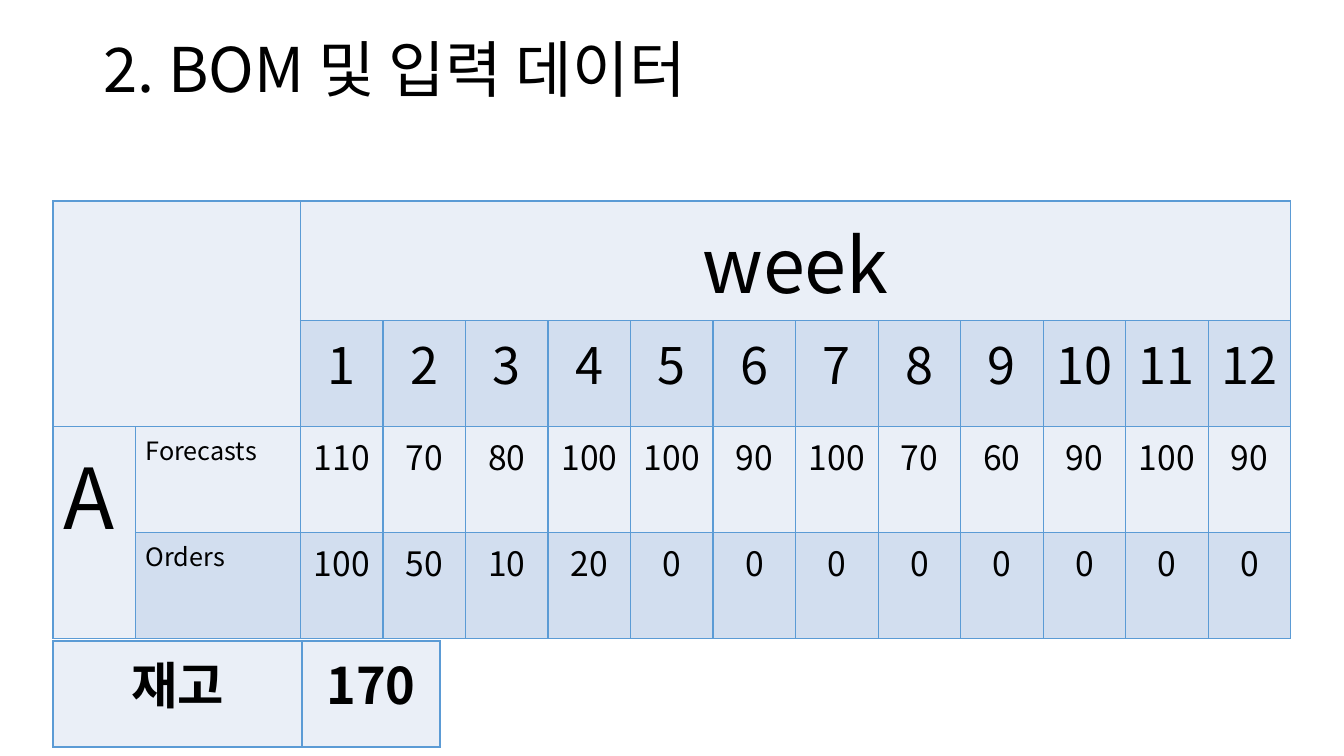
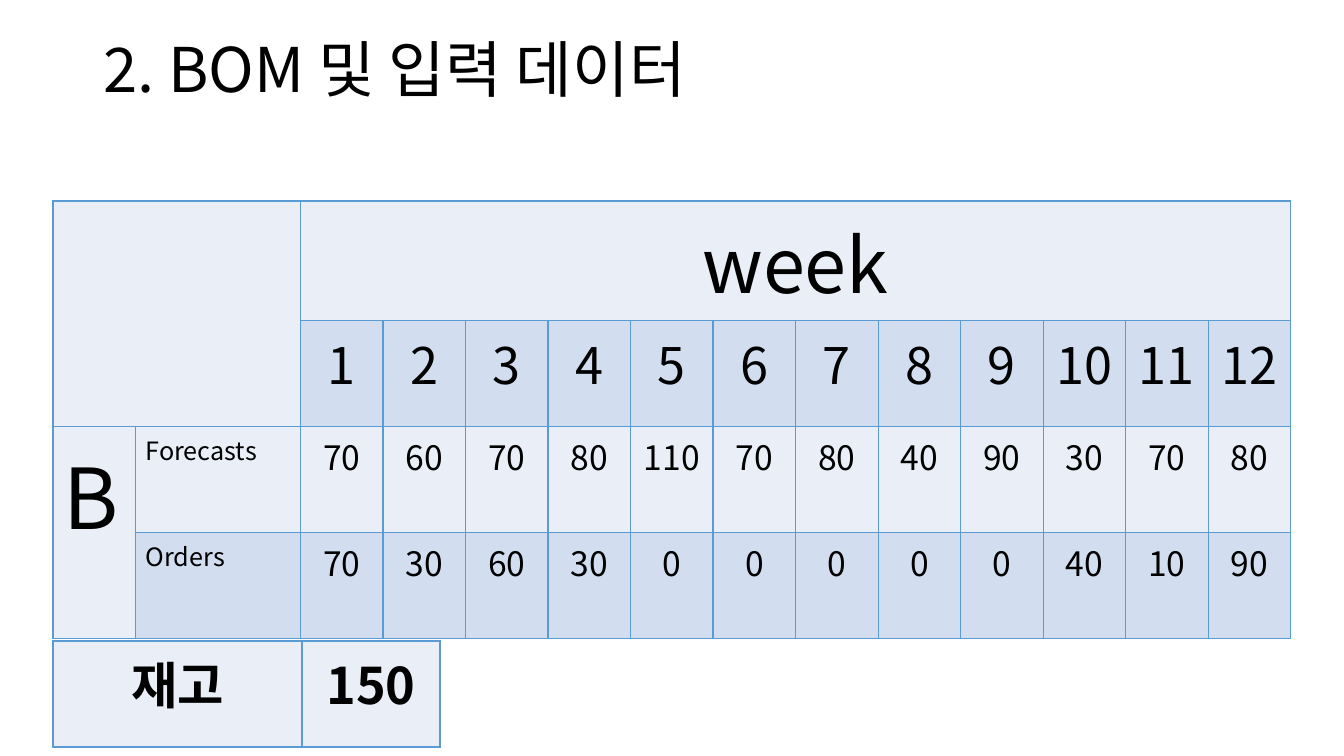
import pptx
import pptx.util
import pptx.dml.color
import pptx.enum.text
import pptx.oxml
import pptx.oxml.ns
import lxml.etree

PX = 12192000 / 1344
FONT = "Noto Sans CJK KR"
HUES = {"text": "000000", "pale": "EAEFF7", "band": "D2DEEF", "edge": "5B9BD5"}
ALIGN = pptx.enum.text.PP_ALIGN
WEEKS = 12
LEFT = 53
ROW = 106
UNIT = 1238 / 15

ITEMS = [
    {
        "name": "A",
        "stock": 170,
        "plan": [110, 70, 80, 100, 100, 90, 100, 70, 60, 90, 100, 90],
        "sales": [100, 50, 10, 20] + [0] * 8,
    },
    {
        "name": "B",
        "stock": 150,
        "plan": [70, 60, 70, 80, 110, 70, 80, 40, 90, 30, 70, 80],
        "sales": [70, 30, 60, 30, 0, 0, 0, 0, 0, 40, 10, 90],
    },
]


def emu(px):
    return pptx.util.Emu(round(px * PX))


def color(name):
    return pptx.dml.color.RGBColor.from_string(HUES[name])


def write(frame, text, size=24, bold=False, align=ALIGN.CENTER, line=None):
    para = frame.paragraphs[0]
    para.alignment = align
    if line:
        para.line_spacing = line
    run = para.add_run()
    run.text = str(text)
    font = run.font
    font.name = FONT
    font.size = pptx.util.Pt(size)
    font.bold = bold
    font.color.rgb = color("text")
    east = lxml.etree.SubElement(font._element, pptx.oxml.ns.qn("a:ea"))
    east.set("typeface", FONT)


def edge(cell):
    props = cell._tc.get_or_add_tcPr()
    space = pptx.oxml.ns.nsdecls("a")
    for side in "LRTB":
        props.append(pptx.oxml.parse_xml(
            f'<a:ln{side} {space} w="12700"><a:solidFill>'
            f'<a:srgbClr val="{HUES["edge"]}"/></a:solidFill></a:ln{side}>'))


def grid(slide, top, wides, count):
    frame = slide.shapes.add_table(
        count, len(wides), emu(LEFT), emu(top), emu(sum(wides)), emu(ROW * count))
    table = frame.table
    table.first_row = False
    table.horz_banding = False
    for col, wide in zip(table.columns, wides):
        col.width = emu(wide)
    for index, row in enumerate(table.rows):
        row.height = emu(ROW)
        for cell in row.cells:
            edge(cell)
            cell.fill.solid()
            cell.fill.fore_color.rgb = color("band" if index % 2 else "pale")
    return table


def head(slide, text):
    title = slide.shapes.title
    title.left, title.top = emu(93), emu(0)
    title.width, title.height = emu(1159), emu(146)
    frame = title.text_frame
    frame.word_wrap = True
    frame.auto_size = pptx.enum.text.MSO_AUTO_SIZE.NONE
    frame.vertical_anchor = pptx.enum.text.MSO_ANCHOR.MIDDLE
    write(frame, text, size=44, align=ALIGN.LEFT, line=0.9)


def demand(slide, item):
    table = grid(slide, 201, [UNIT, 2 * UNIT] + [UNIT] * WEEKS, 4)
    cell = table.cell
    cell(0, 0).merge(cell(1, 1))
    cell(0, 2).merge(cell(0, WEEKS + 1))
    cell(2, 0).merge(cell(3, 0))
    write(cell(0, 2).text_frame, "week", size=54)
    write(cell(2, 0).text_frame, item["name"], size=60, align=ALIGN.LEFT)
    for row, label in ((2, "Forecasts"), (3, "Orders")):
        write(cell(row, 1).text_frame, label, size=18, align=ALIGN.LEFT)
    lines = ((range(1, WEEKS + 1), 36), (item["plan"], 24), (item["sales"], 24))
    for row, (values, size) in enumerate(lines, 1):
        for col, value in enumerate(values, 2):
            write(cell(row, col).text_frame, value, size=size)


def stock(slide, item):
    table = grid(slide, 641, [249, 138], 1)
    for col, text in enumerate(("재고", item["stock"])):
        write(table.cell(0, col).text_frame, text, size=36, bold=True)


def main():
    deck = pptx.Presentation()
    deck.slide_width, deck.slide_height = emu(1344), emu(756)
    for item in ITEMS:
        slide = deck.slides.add_slide(deck.slide_layouts[5])
        demand(slide, item)
        stock(slide, item)
        head(slide, "2. BOM 및 입력 데이터")
    deck.save("out.pptx")


main()
